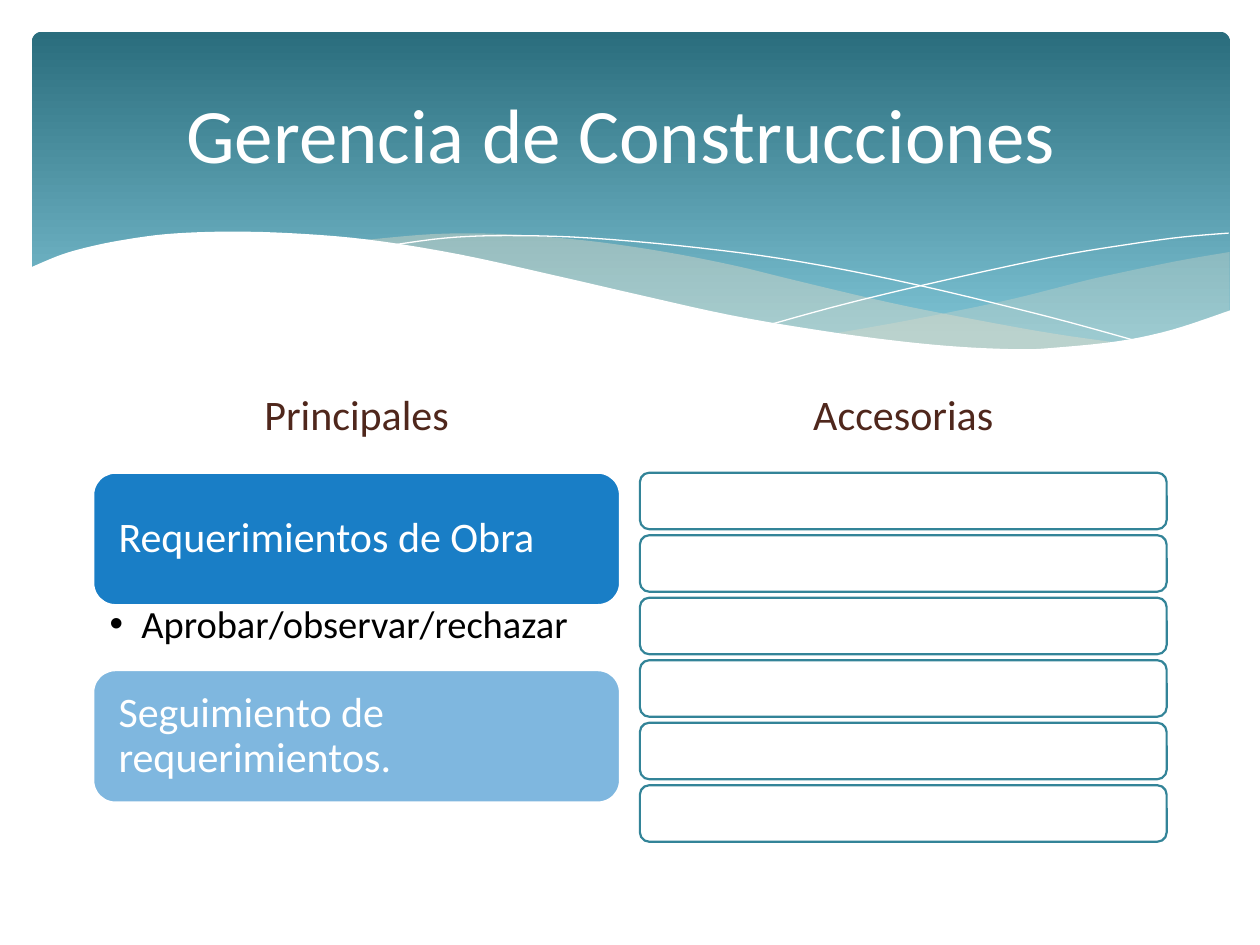
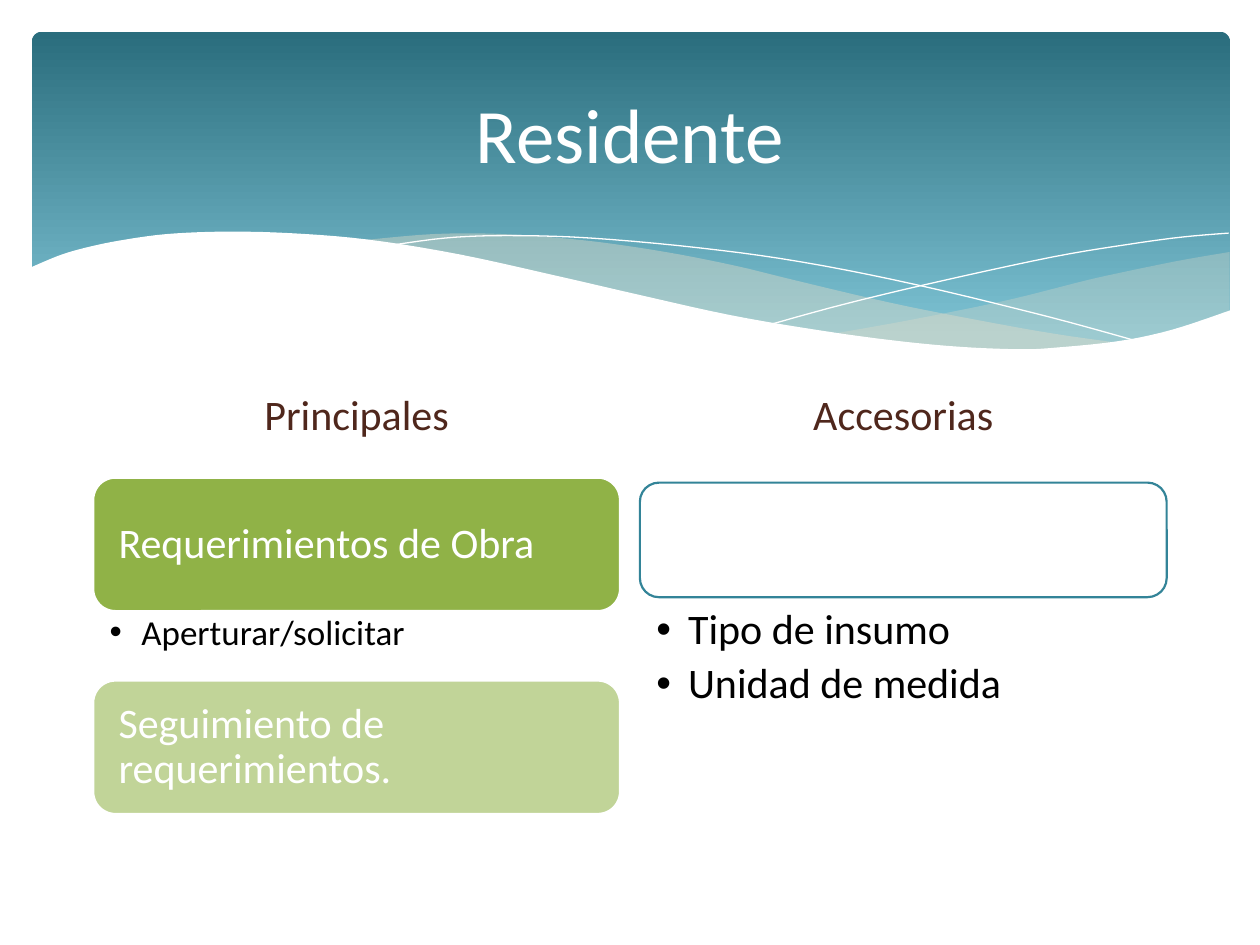
import pptx
import pptx.util
import pptx.dml.color
import pptx.enum.shapes
import pptx.enum.text
import pptx.oxml
import pptx.oxml.ns

Cm, Pt, qn = pptx.util.Cm, pptx.util.Pt, pptx.oxml.ns.qn
ALIGN = pptx.enum.text.PP_ALIGN
MIDDLE = pptx.enum.text.MSO_ANCHOR.MIDDLE
TOP = pptx.enum.text.MSO_ANCHOR.TOP

# Content: boxes are (text, top); lists are (lines, top, height, size, right inset)
SLIDES = [
    {
        "title": "Gerencia de Construcciones ",
        "columns": [
            {"heading": "Principales", "color": "0070C0", "box_height": 2.67,
             "boxes": [("Requerimientos de Obra", 9.53),
                       ("Seguimiento de requerimientos.", 13.51)],
             "list": (["Aprobar/observar/rechazar"], 12.12, 1.3, 22, 0.56)},
            {"heading": "Accesorias", "box_height": 1.14,
             "boxes": [("", 9.53 + 1.26 * row) for row in range(6)]},
        ],
    },
    {
        "title": "Residente",
        "columns": [
            {"heading": "Principales", "color": "84AA33", "box_height": 2.69,
             "boxes": [("Requerimientos de Obra", 9.63),
                       ("Seguimiento de requerimientos.", 13.72)],
             "list": (["Aperturar/solicitar"], 12.32, 1.88, 20, 0.41)},
            {"heading": "Accesorias", "box_height": 2.31,
             "boxes": [("", 9.73)],
             "list": (["Tipo de insumo", "Unidad de medida"],
                      12.19, 2.29, 24, 0.48)},
        ],
    },
]

# Shared geometry and colours (cm, hex)
TITLE_AREA = (1.27, 0.94, 22.86, 3.48)
COLUMN_LEFTS, COLUMN_WIDTH = (1.88, 12.9), 10.62
HEADING_TOP, HEADING_HEIGHT = 7.44, 1.78
PLACEHOLDERS = ((1, 2), (3, 4))  # heading and list of each column
BOX_ALPHAS = (90, 50)
WHITE, BLACK, BROWN, TEAL, SAND = "FFFFFF", "000000", "4F271C", "338498", "E7DEC9"
BAND_AREA, BAND_GRADIENT = (0.64, 0.64, 24.16, 6.86), ((0, "2A6D7D"), (0.9, "7EC3D4"))

# Waves: each is a list of edges, each edge a smooth curve through its points
RIGHT_VEIL = [
    [(24.79, 5.08), (23.75, 5.26), (22.63, 5.49), (21.87, 5.66), (20.45, 6.02),
     (19.13, 6.3), (17.93, 6.53), (16.79, 6.73)],
    [(16.79, 6.73), (18.26, 6.91), (19.53, 7.04), (20.68, 7.06), (21.69, 7.01),
     (22.58, 6.91), (23.39, 6.73), (24.1, 6.53), (24.79, 6.27)],
]
WIDE_VEIL = [
    [(22.68, 6.93), (21.26, 6.73), (19.69, 6.45), (17.93, 6.1), (15.98, 5.64),
     (14.83, 5.36), (13.41, 5.08), (11.81, 4.85), (10.13, 4.72), (8.74, 4.72),
     (7.26, 4.85)],
    [(7.26, 4.85), (9.19, 5.16), (11.4, 5.64), (13.46, 6.1), (15.27, 6.48),
     (16.89, 6.76), (18.34, 6.96), (19.63, 7.04), (20.78, 7.06), (21.77, 7.04),
     (22.68, 6.93)],
]
FALLING_LINE = [
    [(7.85, 4.95), (8.97, 4.8), (10.19, 4.75), (11.91, 4.8), (14.12, 5),
     (16.15, 5.28), (18.47, 5.74), (21.11, 6.38), (23.04, 6.91)],
]
RISING_LINE = [
    [(15.57, 6.53), (17.07, 6.12), (19, 5.66), (21.23, 5.18), (22.73, 4.93),
     (23.83, 4.78), (24.77, 4.7)],
]
WHITE_WAVE = [
    [(24.82, 6.25), (23.62, 6.65), (22.53, 6.88), (21.26, 7.01), (20.55, 7.04),
     (19.33, 6.99), (17.98, 6.86), (16.46, 6.65), (14.71, 6.35), (12.78, 5.92),
     (11.35, 5.59), (9.27, 5.13), (7.42, 4.83), (5.84, 4.7), (4.5, 4.67),
     (3.35, 4.72), (2.41, 4.85), (1.7, 5), (1.17, 5.16), (0.58, 5.41)],
    [(0.58, 8.36), (24.82, 8.36)],
]
# edges, fill, alpha, line
WAVES = [(RIGHT_VEIL, SAND, 29, None), (WIDE_VEIL, SAND, 40, None),
         (FALLING_LINE, None, 100, WHITE), (RISING_LINE, None, 100, WHITE),
         (WHITE_WAVE, WHITE, 100, None)]

# Text formats
TITLE_FORMAT = {"size": 44, "color": WHITE, "anchor": MIDDLE,
                "paragraph": {"alignment": ALIGN.CENTER}}
HEADING_FORMAT = {"size": 24, "color": BROWN, "anchor": MIDDLE,
                  "paragraph": {"alignment": ALIGN.CENTER}}
BOX_FORMAT = {"size": 24, "color": WHITE, "anchor": MIDDLE,
              "insets": (0.38, 0.38, 0.38, 0.38),
              "paragraph": {"alignment": ALIGN.LEFT, "line_spacing": 0.9}}
LIST_FORMAT = {"color": BLACK, "anchor": TOP, "bullet": True,
               "paragraph": {"alignment": ALIGN.LEFT, "line_spacing": 0.9,
                             "space_before": Pt(0), "space_after": Pt(4.8)}}


def rgb(color):
    return pptx.dml.color.RGBColor.from_string(color)


def set_attributes(target, values):
    for name, value in values.items():
        setattr(target, name, value)


def place(shape, left, top, width, height):
    set_attributes(shape, {"left": Cm(left), "top": Cm(top),
                           "width": Cm(width), "height": Cm(height)})


def paint(shape, fill=None, alpha=100, line=None, line_width=1.25):
    shape.shadow.inherit = False
    if fill:
        shape.fill.solid()
        shape.fill.fore_color.rgb = rgb(fill)
        if alpha < 100:
            color = shape.element.spPr.find(qn("a:solidFill")).find(qn("a:srgbClr"))
            color.makeelement(qn("a:alpha"))
            pptx.oxml.ns.qn
            color.append(color.makeelement(qn("a:alpha"), {"val": str(alpha * 1000)}))
    else:
        shape.fill.background()
    if line:
        shape.line.color.rgb = rgb(line)
        shape.line.width = Pt(line_width)
    else:
        shape.line.fill.background()


def add_bullet(paragraph):
    properties = paragraph._p.get_or_add_pPr()
    properties.set("marL", str(Cm(0.64)))
    properties.set("indent", str(-Cm(0.64)))
    properties.append(properties.makeelement(qn("a:buChar"), {"char": "•"}))


def write(shape, lines, style):
    frame = shape.text_frame
    set_attributes(frame, {"word_wrap": True, "vertical_anchor": style["anchor"],
                           "auto_size": pptx.enum.text.MSO_AUTO_SIZE.NONE})
    if "insets" in style:
        sides = ("margin_left", "margin_top", "margin_right", "margin_bottom")
        set_attributes(frame, dict(zip(sides, map(Cm, style["insets"]))))
    for number, line in enumerate(lines):
        paragraph = frame.add_paragraph() if number else frame.paragraphs[0]
        set_attributes(paragraph, style["paragraph"])
        if style.get("bullet"):
            add_bullet(paragraph)
        run = paragraph.add_run()
        run.text = line
        set_attributes(run.font, {"name": "Calibri", "size": Pt(style["size"]),
                                  "bold": False})
        run.font.color.rgb = rgb(style["color"])


def smooth(points, steps=5):
    """Catmull-Rom curve through the points."""
    padded = [points[0], *points, points[-1]]
    curve = [points[0]]
    for a, b, c, d in zip(padded, padded[1:], padded[2:], padded[3:]):
        for step in range(1, steps + 1):
            t = step / steps
            curve.append(tuple(
                (2 * q + (r - p) * t + (2 * p - 5 * q + 4 * r - s) * t ** 2
                 + (3 * q - p - 3 * r + s) * t ** 3) / 2
                for p, q, r, s in zip(a, b, c, d)))
    return curve


def add_wave(shapes, edges, fill, alpha, line):
    points = [(Cm(x), Cm(y)) for edge in edges for x, y in smooth(edge)]
    builder = shapes.build_freeform(*points[0])
    builder.add_line_segments(points[1:], close=fill is not None)
    paint(builder.convert_to_shape(), fill, alpha, line, 0)


def add_rounded_box(shapes, area):
    kind = pptx.enum.shapes.MSO_SHAPE.ROUNDED_RECTANGLE
    return shapes.add_shape(kind, *map(Cm, area))


def add_band(slide, layout):
    """Build the wavy header once and move it to the layout."""
    group = slide.shapes.add_group_shape()
    band = add_rounded_box(group.shapes, BAND_AREA)
    band.adjustments[0] = 0.03
    paint(band)
    band.fill.gradient()
    band.fill.gradient_angle = 270
    for stop, (position, color) in zip(band.fill.gradient_stops, BAND_GRADIENT):
        stop.position = position
        stop.color.rgb = rgb(color)
    for wave in WAVES:
        add_wave(group.shapes, *wave)
    for number, properties in enumerate(group.element.iter(qn("p:cNvPr")), 100):
        properties.set("id", str(number))
    layout.shapes.element.insert(2, group.element)


def add_column(slide, column, left, heading_index, list_index):
    heading = slide.placeholders[heading_index]
    place(heading, left, HEADING_TOP, COLUMN_WIDTH, HEADING_HEIGHT)
    write(heading, [column["heading"]], HEADING_FORMAT)

    for number, (text, top) in enumerate(column["boxes"]):
        box = add_rounded_box(
            slide.shapes, (left, top, COLUMN_WIDTH, column["box_height"]))
        if "color" in column:
            paint(box, column["color"], BOX_ALPHAS[number], WHITE)
        else:
            paint(box, WHITE, line=TEAL)
        if text:
            write(box, [text], BOX_FORMAT)

    body = slide.placeholders[list_index]
    if "list" in column:
        lines, top, height, size, right_inset = column["list"]
        place(body, left, top, COLUMN_WIDTH, height)
        insets = (0.33, 0.08, right_inset, 0.08)
        write(body, lines, {**LIST_FORMAT, "size": size, "insets": insets})
    else:
        body.element.getparent().remove(body.element)


def main():
    presentation = pptx.Presentation()
    presentation.slide_width, presentation.slide_height = Cm(25.4), Cm(19.05)
    layout = presentation.slide_layouts.get_by_name("Comparison")
    for number, content in enumerate(SLIDES):
        slide = presentation.slides.add_slide(layout)
        if number == 0:
            add_band(slide, layout)
        place(slide.shapes.title, *TITLE_AREA)
        write(slide.shapes.title, [content["title"]], TITLE_FORMAT)
        for column, left, indexes in zip(content["columns"], COLUMN_LEFTS, PLACEHOLDERS):
            add_column(slide, column, left, *indexes)
    presentation.save("out.pptx")


if __name__ == "__main__":
    main()
